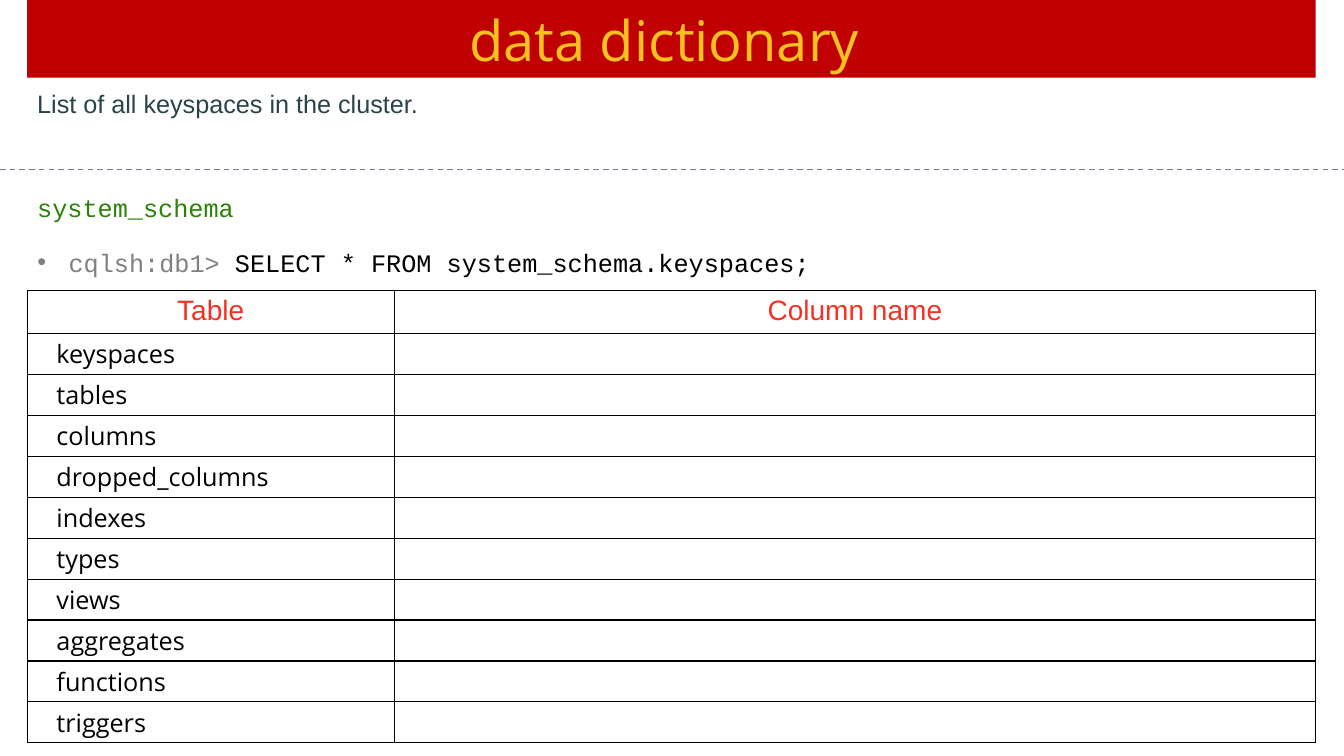
from dataclasses import dataclass
from lxml.etree import SubElement
from pptx import Presentation
from pptx.dml.color import RGBColor
from pptx.enum.dml import MSO_LINE
from pptx.enum.shapes import MSO_CONNECTOR
from pptx.enum.text import MSO_ANCHOR, MSO_AUTO_SIZE, PP_ALIGN
from pptx.oxml import parse_xml
from pptx.oxml.ns import nsdecls, qn
from pptx.util import Inches, Pt


@dataclass(frozen=True)
class Theme:
    """Colours, fonts and type sizes of the slide."""
    band: str = "C00000"
    title: str = "F7C120"
    note: str = "294349"
    schema: str = "2B8208"
    prompt: str = "808080"
    ink: str = "000000"
    head: str = "F63122"
    rule: str = "6E78A0"
    sans: str = "Arial"
    mono: str = "Courier New"
    open: str = "Open Sans"
    big: int = 40
    mid: int = 20
    small: int = 18


T = Theme()
LEFT, WIDE = 0.27, 12.78
TABLES = ["keyspaces", "tables", "columns", "dropped_columns", "indexes",
          "types", "views", "aggregates", "functions", "triggers"]


def apply(item, form):
    """Set each attribute named in a dict of format values."""
    for name, value in form.items():
        setattr(item, name, value)


def write(para, text, face, size, color):
    """Add a formatted run to a paragraph."""
    run = para.add_run()
    run.text = text
    apply(run.font, {"name": face, "size": Pt(size)})
    run.font.color.rgb = RGBColor.from_string(color)


def place(shape, box):
    """Move a shape to a box and prepare its text frame."""
    names = ("left", "top", "width", "height")
    apply(shape, dict(zip(names, map(Inches, box))))
    frame = shape.text_frame
    apply(frame, {"word_wrap": True, "auto_size": MSO_AUTO_SIZE.NONE,
                  "margin_left": Inches(0.1), "margin_right": Inches(0.1),
                  "margin_top": Inches(0.05), "margin_bottom": Inches(0.05)})
    return frame.paragraphs[0]


def banner(slide, box):
    """Fill the title band."""
    title = slide.shapes.title
    para = place(title, box)
    title.fill.solid()
    title.fill.fore_color.rgb = RGBColor.from_string(T.band)
    title.text_frame.vertical_anchor = MSO_ANCHOR.MIDDLE
    para.alignment = PP_ALIGN.CENTER
    write(para, "data dictionary ", T.open, T.big, T.title)


def label(slide, box, text, face, color, align=PP_ALIGN.LEFT):
    """Add one line of plain text."""
    para = place(slide.shapes.add_textbox(0, 0, 0, 0), box)
    para.alignment = align
    write(para, text, face, T.small, color)


def query(slide, box):
    """Show the command as a bullet in the body placeholder."""
    para = place(slide.placeholders[1], box)
    para.space_before = Pt(0)
    props = para._p.get_or_add_pPr()
    props.set("marL", str(Inches(0.31)))
    props.set("indent", str(Inches(-0.31)))
    write(para, "cqlsh:db1> ", T.mono, T.small, T.prompt)
    write(para, "SELECT * FROM system_schema.keyspaces;",
          T.mono, T.small, T.ink)


def divide(slide, box):
    """Draw a dashed rule along the top of a box."""
    left, top, width, _ = box
    line = slide.shapes.add_connector(
        MSO_CONNECTOR.STRAIGHT, Inches(left), Inches(top),
        Inches(left + width), Inches(top))
    apply(line.line, {"width": Pt(1), "dash_style": MSO_LINE.DASH})
    line.line.color.rgb = RGBColor.from_string(T.rule)
    SubElement(line._element.spPr, qn("a:effectLst"))


def border(cell):
    """Clear the fill of a cell and outline its four sides."""
    cell.fill.background()
    props = cell._tc.get_or_add_tcPr()
    for spot, side in enumerate("LRTB"):
        props.insert(spot, parse_xml(
            f'<a:ln{side} {nsdecls("a")} w="{Pt(1)}"><a:solidFill>'
            f'<a:srgbClr val="{T.ink}"/></a:solidFill></a:ln{side}>'))


def grid(slide, box):
    """Build the table of schema tables and their columns."""
    left, top, width, height = box
    first, head = 3.64, 0.43
    table = slide.shapes.add_table(
        len(TABLES) + 1, 2, *map(Inches, box)).table
    apply(table, {"first_row": False, "horz_banding": False})
    for col, size in zip(table.columns, (first, width - first)):
        col.width = Inches(size)
    for row in table.rows:
        row.height = Inches((height - head) / len(TABLES))
    table.rows[0].height = Inches(head)
    for cell in table.iter_cells():
        border(cell)
        apply(cell, {"margin_top": Inches(0.03), "margin_bottom": Inches(0.03),
                     "vertical_anchor": MSO_ANCHOR.MIDDLE})
    for col, text in enumerate(("Table", "Column name")):
        cell = table.cell(0, col)
        apply(cell, {"margin_top": Inches(0.05),
                     "vertical_anchor": MSO_ANCHOR.TOP})
        para = cell.text_frame.paragraphs[0]
        para.alignment = PP_ALIGN.CENTER
        write(para, text, T.sans, T.mid, T.head)
    for row, text in enumerate(TABLES, 1):
        para = table.cell(row, 0).text_frame.paragraphs[0]
        para._p.get_or_add_pPr().set("marL", str(Inches(0.19)))
        write(para, text, T.open, T.small, T.ink)


def main():
    """Build and save the slide."""
    deck = Presentation()
    apply(deck, {"slide_width": Inches(13.33), "slide_height": Inches(7.5)})
    slide = deck.slides.add_slide(deck.slide_layouts[1])
    banner(slide, (LEFT, 0, WIDE, 0.77))
    label(slide, (LEFT, 0.83, WIDE, 0.4),
          "List of all keyspaces in the cluster.", T.sans, T.note,
          PP_ALIGN.JUSTIFY)
    divide(slide, (0, 1.68, 13.33, 0))
    label(slide, (LEFT, 1.86, WIDE, 0.4), "system_schema", T.mono, T.schema)
    query(slide, (LEFT, 2.4, WIDE, 0.4))
    grid(slide, (LEFT, 2.88, WIDE, 4.49))
    deck.save("out.pptx")


if __name__ == "__main__":
    main()
